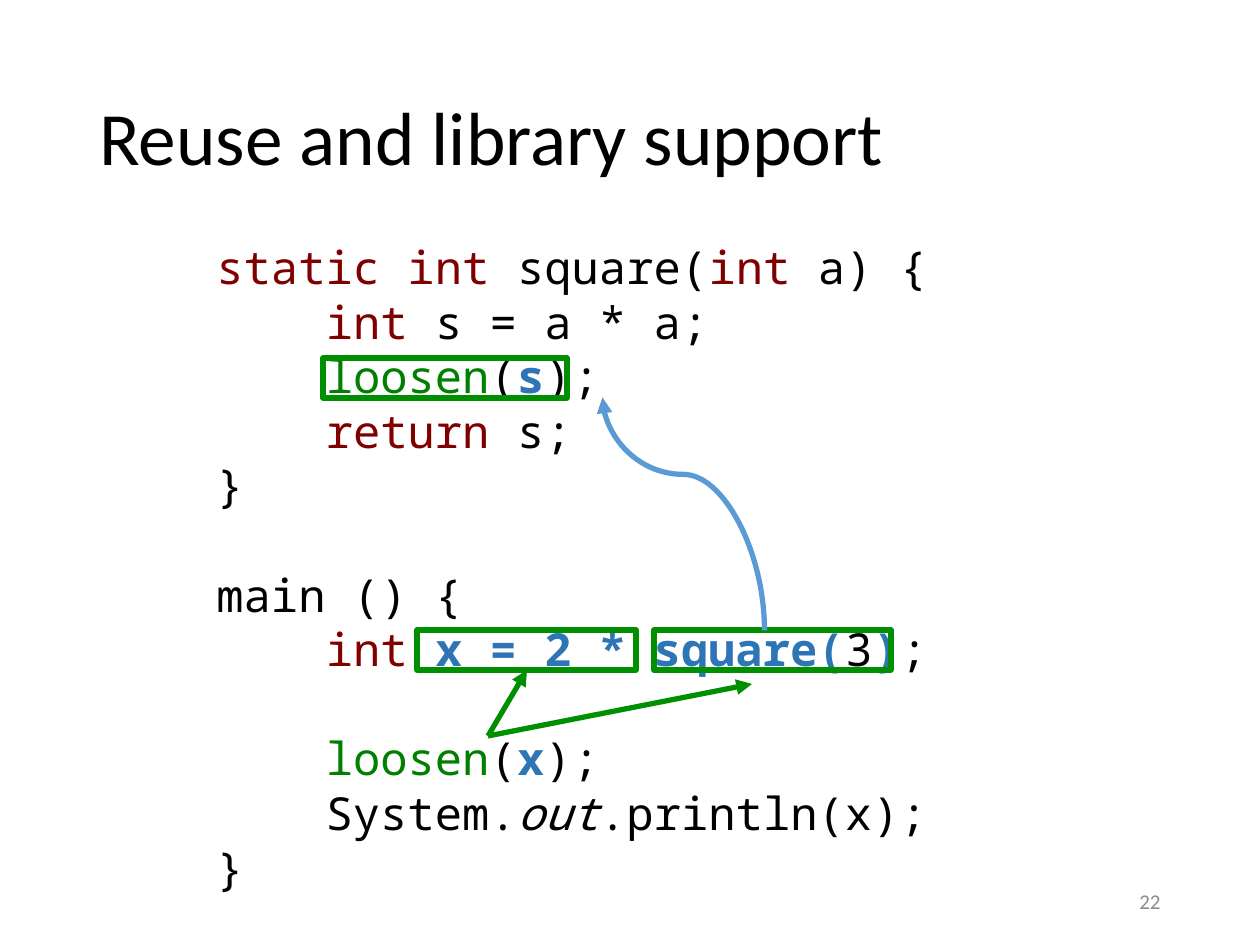
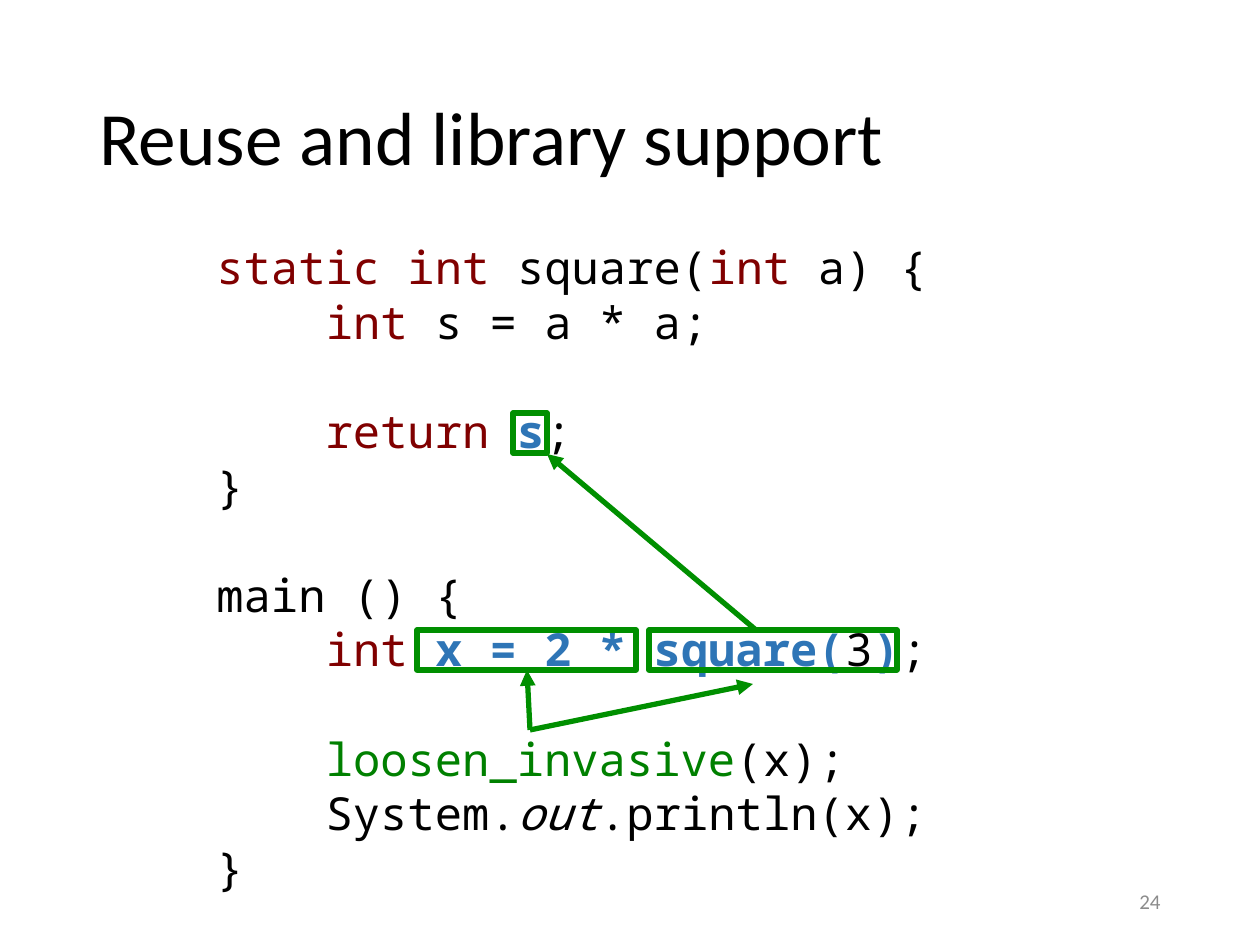
import pptx
import pptx.util
import pptx.dml.color
import pptx.enum.shapes
import pptx.enum.text
import pptx.oxml
import pptx.oxml.ns

EMU_PER_PX = 914400 / 126
BLACK = pptx.dml.color.RGBColor(0x00, 0x00, 0x00)
MAROON = pptx.dml.color.RGBColor(0x80, 0x00, 0x00)
GREEN = pptx.dml.color.RGBColor(0x00, 0x80, 0x00)
BLUE = pptx.dml.color.RGBColor(0x2E, 0x75, 0xB6)
GREY = pptx.dml.color.RGBColor(0x8C, 0x8C, 0x8C)
MARK_GREEN = pptx.dml.color.RGBColor(0x00, 0x8F, 0x00)
CURVE_BLUE = pptx.dml.color.RGBColor(0x5B, 0x9B, 0xD5)
LINE_WIDTH = pptx.util.Pt(3)
CODE_LINE = pptx.util.Pt(31.25)

# Text formats: font attributes and colour
TITLE = ({"name": "Calibri", "size": pptx.util.Pt(43)}, BLACK)
NUMBER = ({"name": "Calibri", "size": pptx.util.Pt(12)}, GREY)
CODE_FONT = {"name": "Noto Sans Mono", "size": pptx.util.Pt(26)}
PLAIN = (CODE_FONT, BLACK)
KEYWORD = (CODE_FONT, MAROON)
LOOSEN = (CODE_FONT, GREEN)
TRACED = ({**CODE_FONT, "bold": True}, BLUE)
FIELD = ({**CODE_FONT, "italic": True}, BLACK)

MIDDLE = {"vertical_anchor": pptx.enum.text.MSO_ANCHOR.MIDDLE}
GROW = {"auto_size": pptx.enum.text.MSO_AUTO_SIZE.SHAPE_TO_FIT_TEXT}

# Code lines that both slides show; None is an empty line
INDENT = ("    ", PLAIN)
CODE_START = [
    [("static int", KEYWORD), (" square(", PLAIN), ("int ", KEYWORD), ("a) {", PLAIN)],
    [INDENT, ("int ", KEYWORD), ("s = a * a;", PLAIN)],
]
CODE_MAIN = [
    [("}", PLAIN)],
    None,
    [("main () {", PLAIN)],
    [INDENT, ("int ", KEYWORD), ("x = 2 * square(", TRACED), ("3", PLAIN),
     (")", TRACED), (";", PLAIN)],
    None,
]
CODE_END = [
    [("    System.", PLAIN), ("out", FIELD), (".println(x);", PLAIN)],
    [("}", PLAIN)],
]

SLIDES = [
    {
        "number": "22",
        "code_width": 853,
        "square_body": [
            [INDENT, ("loosen", LOOSEN), ("(", PLAIN), ("s", TRACED), (");", PLAIN)],
            [INDENT, ("return", KEYWORD), (" s;", PLAIN)],
        ],
        "loosen_call": [INDENT, ("loosen", LOOSEN), ("(", PLAIN), ("x", TRACED),
                        (");", PLAIN)],
        # left, top and width of each marked expression
        "marks": [(417, 630, 219), (323, 358, 244), (654, 630, 237)],
        "arrows": [(488, 736, 527, 670), (488, 736, 752, 684)],
        "curve": (567, 433, 800, 595),
    },
    {
        "number": "24",
        "code_width": 811,
        "square_body": [
            None,
            [("    return ", KEYWORD), ("s", TRACED), (";", PLAIN)],
        ],
        "loosen_call": [INDENT, ("loosen_invasive", LOOSEN), ("(x);", PLAIN)],
        "marks": [(417, 630, 219), (649, 630, 248), (513, 413, 34)],
        "arrows": [(530, 730, 527, 670), (530, 730, 753, 684), (756, 630, 547, 454)],
        "curve": None,
    },
]
MARK_HEIGHT = 40


def add_text(slide, box, lines, frame_format, paragraph_format):
    area = slide.shapes.add_textbox(*[round(v * EMU_PER_PX) for v in box])
    frame = area.text_frame
    frame.word_wrap = True
    for key, value in frame_format.items():
        setattr(frame, key, value)
    after_gap = False
    for position, line in enumerate(lines):
        if line is None:
            after_gap = True
            continue
        paragraph = frame.add_paragraph() if position else frame.paragraphs[0]
        for key, value in paragraph_format.items():
            setattr(paragraph, key, value)
        if after_gap:
            paragraph.space_before = CODE_LINE
            after_gap = False
        for text, (font_format, colour) in line:
            run = paragraph.add_run()
            run.text = text
            for key, value in font_format.items():
                setattr(run.font, key, value)
            run.font.color.rgb = colour


def add_arrow(slide, kind, ends, colour):
    arrow = slide.shapes.add_connector(kind, *[round(v * EMU_PER_PX) for v in ends])
    arrow.line.color.rgb = colour
    arrow.line.width = LINE_WIDTH
    properties = arrow._element.spPr
    for parent, tag in ((arrow.line._ln, "a:tailEnd"), (properties, "a:effectLst")):
        parent.append(pptx.oxml.parse_xml(f"<{tag} {pptx.oxml.ns.nsdecls('a')}/>"))
    arrow.line._ln[-1].set("type", "triangle")
    return arrow


presentation = pptx.Presentation()
presentation.slide_width = round(1260 * EMU_PER_PX)
presentation.slide_height = round(945 * EMU_PER_PX)

for content in SLIDES:
    slide = presentation.slides.add_slide(presentation.slide_layouts[6])

    # Title, code and slide number
    add_text(slide, (87, 50, 1086, 183), [[("Reuse and library support", TITLE)]],
             MIDDLE, {"line_spacing": 0.9})
    code = (CODE_START + content["square_body"] + CODE_MAIN
            + [content["loosen_call"]] + CODE_END)
    add_text(slide, (204, 233, content["code_width"], 674), code, GROW, {})
    add_text(slide, (890, 876, 283, 50), [[(content["number"], NUMBER)]],
             MIDDLE, {"alignment": pptx.enum.text.PP_ALIGN.RIGHT})

    # Frames around the marked expressions
    for left, top, width in content["marks"]:
        mark = slide.shapes.add_shape(
            pptx.enum.shapes.MSO_SHAPE.RECTANGLE,
            *[round(v * EMU_PER_PX) for v in (left, top, width, MARK_HEIGHT)])
        mark.shadow.inherit = False
        mark.fill.background()
        mark.line.color.rgb = MARK_GREEN
        mark.line.width = LINE_WIDTH

    # Arrows between calls and expressions
    for ends in content["arrows"]:
        add_arrow(slide, pptx.enum.shapes.MSO_CONNECTOR.STRAIGHT, ends, MARK_GREEN)

    # Curve from the call up to the loosened value, turned a quarter to the left
    if content["curve"]:
        curve = add_arrow(slide, pptx.enum.shapes.MSO_CONNECTOR.CURVE,
                          content["curve"], CURVE_BLUE)
        turn = curve._element.spPr.xfrm
        turn.set("rot", str(270 * 60000))
        turn.set("flipV", "1")
        bends = curve._element.spPr.prstGeom.get_or_add_avLst()
        bends.append(pptx.oxml.parse_xml(
            f'<a:gd {pptx.oxml.ns.nsdecls("a")} name="adj1" fmla="val 67000"/>'))

presentation.save("out.pptx")
